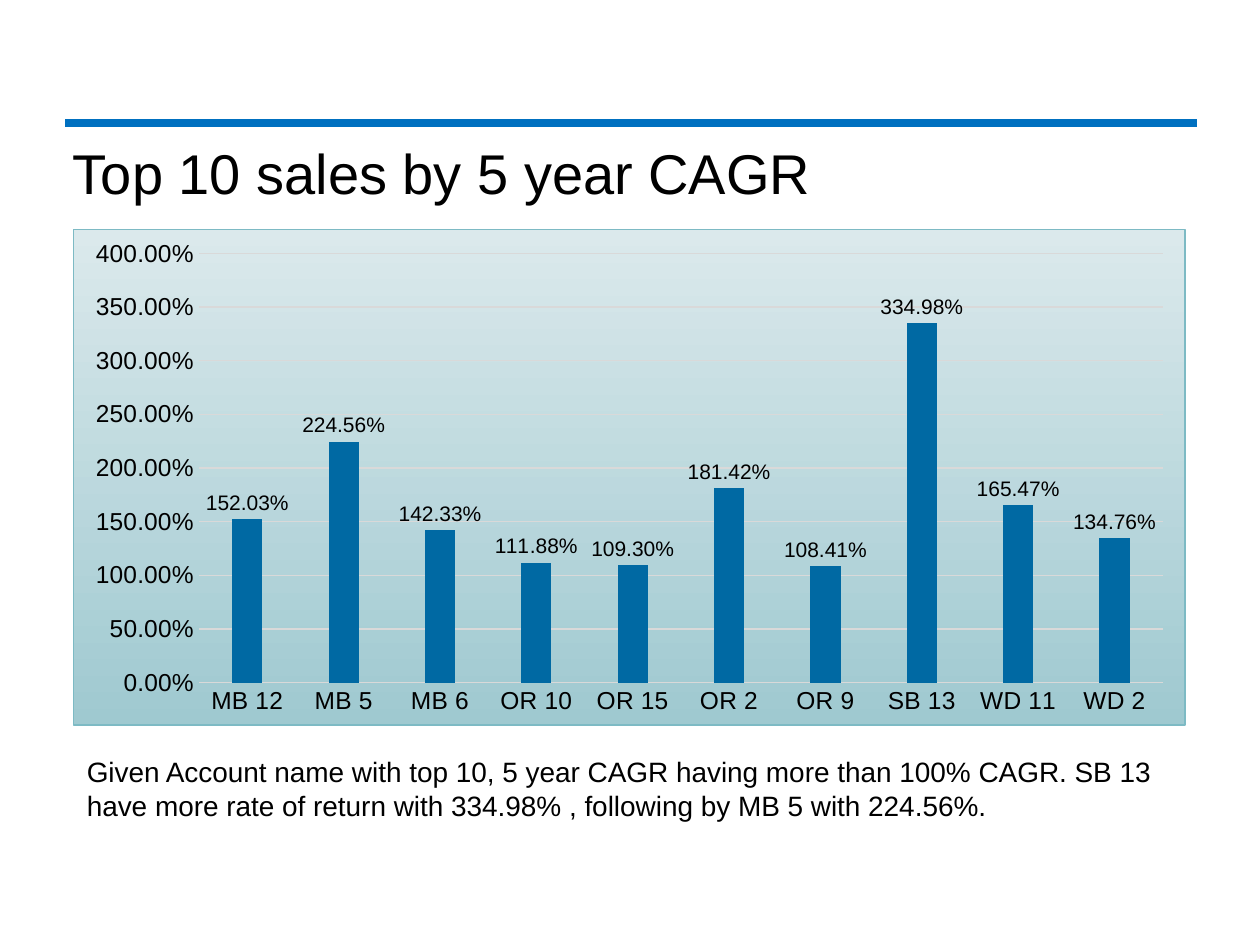
from dataclasses import dataclass

from lxml.etree import SubElement
from pptx import Presentation
from pptx.chart.data import CategoryChartData
from pptx.dml.color import RGBColor
from pptx.enum.chart import XL_CHART_TYPE, XL_LABEL_POSITION, XL_TICK_MARK
from pptx.enum.shapes import MSO_CONNECTOR
from pptx.enum.text import MSO_ANCHOR, MSO_AUTO_SIZE, PP_ALIGN
from pptx.oxml import parse_xml
from pptx.oxml.ns import nsdecls, qn
from pptx.util import Cm, Pt

BLACK = RGBColor(0x00, 0x00, 0x00)
RULE_BLUE = RGBColor(0x00, 0x70, 0xC0)
BAR_BLUE = RGBColor(0x00, 0x69, 0xA3)
GRID_GREY = RGBColor(0xD9, 0xD9, 0xD9)
PANEL_TOP = RGBColor(0xDB, 0xE9, 0xEC)
PANEL_BOTTOM = RGBColor(0x9F, 0xC9, 0xD0)
PANEL_BORDER = RGBColor(0x7D, 0xBA, 0xC4)
FONT = "Arial"
PERCENT = "0.00%"


@dataclass(frozen=True)
class Box:
    left: float
    top: float
    width: float
    height: float

    def lengths(self) -> tuple:
        return Cm(self.left), Cm(self.top), Cm(self.width), Cm(self.height)


@dataclass(frozen=True)
class Account:
    name: str
    cagr: float


ACCOUNTS = [
    Account("MB 12", 1.5203),
    Account("MB 5", 2.2456),
    Account("MB 6", 1.4233),
    Account("OR 10", 1.1188),
    Account("OR 15", 1.093),
    Account("OR 2", 1.8142),
    Account("OR 9", 1.0841),
    Account("SB 13", 3.3498),
    Account("WD 11", 1.6547),
    Account("WD 2", 1.3476),
]

TITLE_BOX = Box(1.47, 1.02, 22.15, 4.44)
CHART_BOX = Box(1.47, 4.62, 22.43, 10.01)
SUMMARY_BOX = Box(1.5, 15.09, 22.63, 1.63)


def style_font(font, size: float) -> None:
    font.name = FONT
    font.size = Pt(size)
    font.color.rgb = BLACK


def style_line(line, color: RGBColor, width: float) -> None:
    line.color.rgb = color
    line.width = Pt(width)


def write_text(frame, text: str, size: float) -> None:
    frame.word_wrap = True
    paragraph = frame.paragraphs[0]
    paragraph.alignment = PP_ALIGN.LEFT
    run = paragraph.add_run()
    run.text = text
    style_font(run.font, size)


def add_rule(slide) -> None:
    rule = slide.shapes.add_connector(
        MSO_CONNECTOR.STRAIGHT, Cm(1.32), Cm(2.48), Cm(24.13), Cm(2.48)
    )
    style_line(rule.line, RULE_BLUE, 4.5)
    SubElement(rule.line._get_or_add_ln().getparent(), qn("a:effectLst"))


def set_title(slide, text: str) -> None:
    title = slide.shapes.title
    title.left, title.top, title.width, title.height = TITLE_BOX.lengths()
    frame = title.text_frame
    frame.auto_size = MSO_AUTO_SIZE.NONE
    frame.vertical_anchor = MSO_ANCHOR.BOTTOM
    frame.margin_left = frame.margin_right = 0
    frame.margin_top = Cm(0.13)
    frame.margin_bottom = Cm(1.3)
    write_text(frame, text, 32)
    frame.paragraphs[0].line_spacing = 0.9


def fill_chart_panel(chart) -> None:
    panel = parse_xml(
        f'<c:spPr {nsdecls("c", "a")}><a:gradFill><a:gsLst>'
        f'<a:gs pos="0"><a:srgbClr val="{PANEL_TOP}"/></a:gs>'
        f'<a:gs pos="100000"><a:srgbClr val="{PANEL_BOTTOM}"/></a:gs>'
        '</a:gsLst><a:lin ang="5400000" scaled="0"/></a:gradFill>'
        f'<a:ln w="{Pt(0.75)}"><a:solidFill><a:srgbClr val="{PANEL_BORDER}"/>'
        "</a:solidFill></a:ln></c:spPr>"
    )
    chart.element.find(qn("c:chart")).addnext(panel)


def style_axis(axis) -> None:
    axis.major_tick_mark = XL_TICK_MARK.NONE
    axis.minor_tick_mark = XL_TICK_MARK.NONE
    style_font(axis.tick_labels.font, 14)


def add_cagr_chart(slide, accounts: list[Account]) -> None:
    data = CategoryChartData(number_format=PERCENT)
    data.categories = [account.name for account in accounts]
    data.add_series("Series 1", [account.cagr for account in accounts])
    chart = slide.shapes.add_chart(
        XL_CHART_TYPE.COLUMN_CLUSTERED, *CHART_BOX.lengths(), data
    ).chart
    style_font(chart.font, 10)
    chart.has_legend = False
    chart.has_title = False
    fill_chart_panel(chart)

    style_axis(chart.category_axis)
    style_line(chart.category_axis.format.line, GRID_GREY, 0.75)

    value_axis = chart.value_axis
    style_axis(value_axis)
    value_axis.format.line.fill.background()
    value_axis.minimum_scale = 0
    value_axis.maximum_scale = 4
    value_axis.major_unit = 0.5
    value_axis.tick_labels.number_format = PERCENT
    value_axis.tick_labels.number_format_is_linked = False
    style_line(value_axis.major_gridlines.format.line, GRID_GREY, 0.75)

    plot = chart.plots[0]
    plot.gap_width = 219
    plot.vary_by_categories = False
    bars = plot.series[0]
    bars.format.fill.solid()
    bars.format.fill.fore_color.rgb = BAR_BLUE
    labels = bars.data_labels
    labels.show_value = True
    labels.position = XL_LABEL_POSITION.OUTSIDE_END
    labels.number_format = PERCENT
    labels.number_format_is_linked = False
    style_font(labels.font, 12)


def add_summary(slide, text: str) -> None:
    frame = slide.shapes.add_textbox(*SUMMARY_BOX.lengths()).text_frame
    frame.auto_size = MSO_AUTO_SIZE.SHAPE_TO_FIT_TEXT
    write_text(frame, text, 16)


def main() -> None:
    presentation = Presentation()
    presentation.slide_width = Cm(25.4)
    presentation.slide_height = Cm(19.05)
    slide = presentation.slides.add_slide(presentation.slide_layouts[5])
    add_rule(slide)
    add_summary(
        slide,
        "Given Account name with top 10, 5 year CAGR having more than 100% CAGR. "
        "SB 13 have more rate of return with 334.98% , following by MB 5 with 224.56%.",
    )
    add_cagr_chart(slide, ACCOUNTS)
    set_title(slide, "Top 10 sales by 5 year CAGR")
    presentation.save("out.pptx")


if __name__ == "__main__":
    main()
